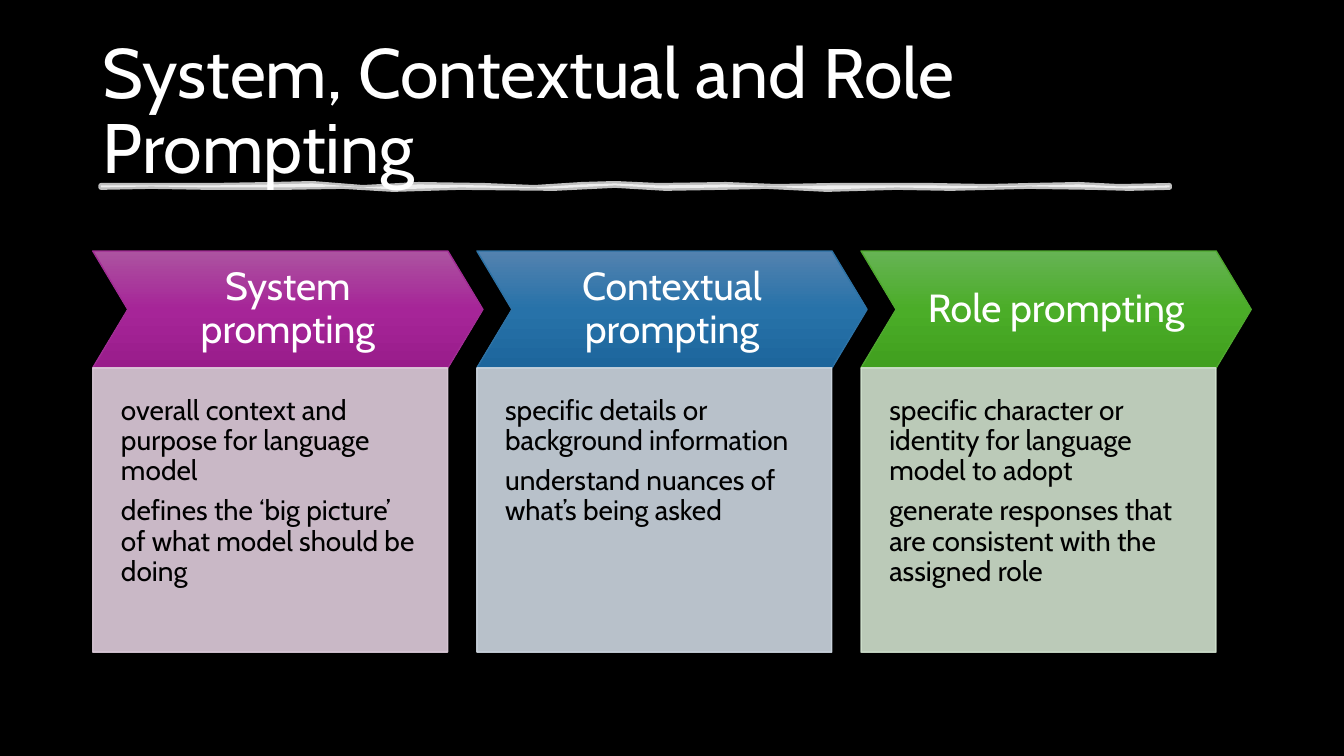
from lxml import etree
from pptx import Presentation
from pptx.dml.color import RGBColor
from pptx.enum.shapes import MSO_SHAPE
from pptx.enum.text import MSO_ANCHOR, MSO_AUTO_SIZE, PP_ALIGN
from pptx.oxml.ns import qn
from pptx.util import Inches, Pt

CHEVRON, RECTANGLE = MSO_SHAPE.CHEVRON, MSO_SHAPE.RECTANGLE
LEFT, CENTER = PP_ALIGN.LEFT, PP_ALIGN.CENTER
TOP, MIDDLE = MSO_ANCHOR.TOP, MSO_ANCHOR.MIDDLE
NO_AUTOFIT = MSO_AUTO_SIZE.NONE
TITLE_ONLY = 5

FIRST_COLUMN, COLUMN_STEP = 0.92, 3.81
CHEVRON_WIDTH, CARD_WIDTH = 3.87, 3.52
CHEVRON_TOP, CHEVRON_HEIGHT, CARD_HEIGHT = 2.49, 1.16, 2.82
CARD_TOP = CHEVRON_TOP + CHEVRON_HEIGHT

COLUMNS = [
    ("System prompting", ["AC53A0", "A62598", "991C8B"], "A02B93", "DFCDDC",
     ["overall context and purpose for language model",
      "defines the ‘big picture’ of what model should be doing"]),
    ("Contextual prompting", ["5382AF", "2772A9", "1D669C"], "2C71A4", "CDD6E0",
     ["specific details or background information",
      "understand nuances of what’s being asked"]),
    ("Role prompting", ["66B354", "4BAD28", "409F1E"], "4EA72E", "D0E1CD",
     ["specific character or identity for language model to adopt",
      "generate responses that are consistent with the assigned role"]),
]

UNDERLINE = [
    (1, 1.84), (2.09, 1.84), (2.7, 1.83), (3.1, 1.82), (3.6, 1.86), (4.15, 1.83),
    (4.8, 1.84), (5.3, 1.86), (5.77, 1.83), (6.1, 1.82), (6.53, 1.84), (7.2, 1.83),
    (7.7, 1.85), (8.25, 1.84), (9.24, 1.84), (9.8, 1.85), (10.21, 1.84),
    (10.7, 1.83), (11.1, 1.85), (11.6, 1.84), (11.6, 1.86), (11.2, 1.87),
    (10.84, 1.86), (10.2, 1.85), (9.43, 1.87), (8.89, 1.86), (8.2, 1.88),
    (7.6, 1.85), (7.16, 1.86), (6.6, 1.87), (6.1, 1.84), (5.5, 1.87), (4.56, 1.86),
    (3.9, 1.88), (3.4, 1.85), (2.82, 1.86), (2.06, 1.86), (1.5, 1.85), (1, 1.86),
]


def color(hex_code):
    return RGBColor.from_string(hex_code)


def write_text(shape, paragraphs, size, hex_code, align=LEFT, anchor=TOP,
               insets=(0.1, 0.05, 0.1, 0.05), space_after=0):
    frame = shape.text_frame
    frame.word_wrap = True
    frame.auto_size = NO_AUTOFIT
    frame.vertical_anchor = anchor
    frame.margin_left, frame.margin_top, frame.margin_right, frame.margin_bottom = map(Inches, insets)
    for index, text in enumerate(paragraphs):
        paragraph = frame.add_paragraph() if index else frame.paragraphs[0]
        paragraph.alignment = align
        paragraph.line_spacing = 0.9
        paragraph.space_before = Pt(0)
        paragraph.space_after = Pt(space_after)
        run = paragraph.add_run()
        run.text = text
        run.font.name = "Cabin"
        run.font.size = Pt(size)
        run.font.color.rgb = color(hex_code)


presentation = Presentation()
presentation.slide_width = Inches(13.33)
presentation.slide_height = Inches(7.5)
slide = presentation.slides.add_slide(presentation.slide_layouts[TITLE_ONLY])
slide.background.fill.solid()
slide.background.fill.fore_color.rgb = color("000000")

title = slide.shapes.title
title.left, title.top = Inches(0.92), Inches(0.4)
title.width, title.height = Inches(11.5), Inches(1.45)
write_text(title, ["System, Contextual and Role Prompting"], size=50,
           hex_code="FFFFFF", anchor=MIDDLE)

points = [(Inches(x), Inches(y)) for x, y in UNDERLINE]
builder = slide.shapes.build_freeform(*points[0])
builder.add_line_segments(points[1:], close=True)
underline = builder.convert_to_shape()
translucent_shapes = [(underline, "FFFFFF", 3.5, 75)]

for index, (heading, gradient, outline, card_color, details) in enumerate(COLUMNS):
    left = Inches(FIRST_COLUMN + index * COLUMN_STEP)

    chevron = slide.shapes.add_shape(CHEVRON, left, Inches(CHEVRON_TOP),
                                     Inches(CHEVRON_WIDTH), Inches(CHEVRON_HEIGHT))
    chevron.adjustments[0] = 0.3
    chevron.shadow.inherit = False
    chevron.line.color.rgb = color(outline)
    chevron.line.width = Pt(1)
    chevron.fill.gradient()
    gradient_fill = chevron._element.spPr.find(qn("a:gradFill"))
    stops = gradient_fill.find(qn("a:gsLst"))
    for stop in list(stops):
        stops.remove(stop)
    for position, hex_code in zip((0, 50000, 100000), gradient):
        stop = etree.SubElement(stops, qn("a:gs"), pos=str(position))
        etree.SubElement(stop, qn("a:srgbClr"), val=hex_code)
    gradient_fill.find(qn("a:lin")).set("ang", "5400000")
    write_text(chevron, [heading], size=28, hex_code="FFFFFF", align=CENTER,
               anchor=MIDDLE, insets=(0.14, 0.14, 0.14, 0.14))

    card = slide.shapes.add_shape(RECTANGLE, left, Inches(CARD_TOP),
                                  Inches(CARD_WIDTH), Inches(CARD_HEIGHT))
    write_text(card, details, size=20, hex_code="000000",
               insets=(0.28, 0.28, 0.28, 0.56), space_after=7)
    translucent_shapes.append((card, card_color, 1, 90))

for shape, hex_code, line_width, opacity in translucent_shapes:
    shape.shadow.inherit = False
    shape.fill.solid()
    shape.fill.fore_color.rgb = color(hex_code)
    shape.line.color.rgb = color(hex_code)
    shape.line.width = Pt(line_width)
    for color_element in shape._element.spPr.iter(qn("a:srgbClr")):
        etree.SubElement(color_element, qn("a:alpha"), val=str(opacity * 1000))

presentation.save("out.pptx")
